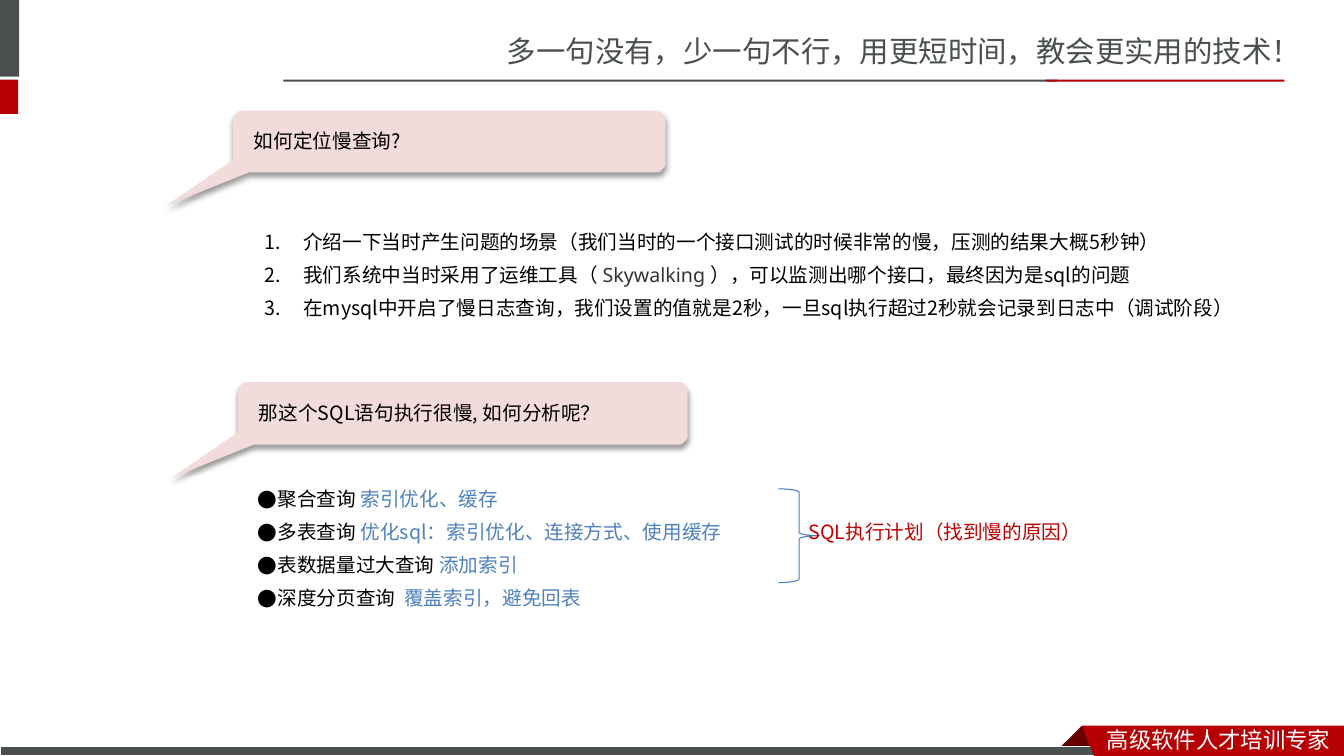
import math
from dataclasses import dataclass

from lxml import etree
from pptx import Presentation
from pptx import util as u
from pptx.dml.color import RGBColor
from pptx.enum import shapes, text
from pptx.oxml import ns

PX = 9144  # EMU in one px, 100 px to the inch


@dataclass(frozen=True)
class Theme:
    grey: str = "49504F"
    red: str = "B60004"
    dark_red: str = "680000"
    label_red: str = "C00000"
    pink: str = "F2DCDB"
    blue: str = "4F81BD"
    brace: str = "4B7EBC"
    black: str = "000000"
    tool: str = "333333"
    white: str = "FFFFFF"
    title_size: float = 21
    footer_size: float = 16
    body_size: float = 14
    line_spacing: float = 1.23
    space_before: float = 2.8
    heading_font: str = "Noto Sans CJK SC"
    body_font: str = "Noto Sans CJK JP"
    latin_font: str = "Noto Sans"


THEME = Theme()


def add_xml(parent, tag, **attributes):
    element = etree.SubElement(parent, ns.qn(tag))
    for name, value in attributes.items():
        element.set(name, str(value))
    return element


class SlideBuilder:
    def __init__(self, slide, theme):
        self.slide = slide
        self.theme = theme

    def paint(self, shape, fill=None, line=None):
        shape.shadow.inherit = False
        if fill:
            shape.fill.solid()
            shape.fill.fore_color.rgb = RGBColor.from_string(fill)
        else:
            shape.fill.background()
        if line:
            shape.line.color.rgb = RGBColor.from_string(line)
            shape.line.width = u.Pt(0.75)
        else:
            shape.line.fill.background()
        return shape

    def preset(self, kind, box, fill=None, line=None):
        shape = self.slide.shapes.add_shape(kind, *(v * PX for v in box))
        return self.paint(shape, fill, line)

    def polygon(self, points, fill):
        builder = self.slide.shapes.build_freeform(*points[0], scale=PX)
        builder.add_line_segments(points[1:], close=True)
        return self.paint(builder.convert_to_shape(), fill)

    def callout(self, left, top, width, height, wording):
        """Rounded speech bubble whose tail points down and to the left."""
        radius, right, bottom = 10, left + width, top + height

        def corner(x, y, start):
            angles = [math.radians(start + step * 15) for step in range(7)]
            return [(x + radius * math.cos(a), y + radius * math.sin(a)) for a in angles]

        points = [
            *corner(left + radius, top + radius, 180),
            *corner(right - radius, top + radius, 270),
            *corner(right - radius, bottom - radius, 0),
            (left + 16, bottom), (left - 66, bottom + 33), (left, bottom - 12),
        ]
        shape = self.polygon(points, self.theme.pink)
        effects = shape._element.spPr.find(ns.qn("a:effectLst"))
        shadow = add_xml(effects, "a:outerShdw", blurRad=u.Pt(4), dist=u.Pt(3),
                         dir=90 * 60000, algn="t", rotWithShape=0)
        color = add_xml(shadow, "a:srgbClr", val=self.theme.black)
        add_xml(color, "a:alpha", val=40000)
        self.body((left + 11, top + 5, width + 60, 47), [[(wording, self.theme.black)]])

    def text_box(self, box):
        frame = self.slide.shapes.add_textbox(*(v * PX for v in box)).text_frame
        frame.word_wrap = True
        return frame

    def run(self, paragraph, wording, color, size, font):
        run = paragraph.add_run()
        run.text = wording
        run.font.size = u.Pt(size)
        run.font.name = font
        run.font.color.rgb = RGBColor.from_string(color)
        add_xml(run._r.get_or_add_rPr(), "a:ea", typeface=font)

    def heading(self, box, wording, color, size):
        paragraph = self.text_box(box).paragraphs[0]
        self.run(paragraph, wording, color, size, self.theme.heading_font)

    def body(self, box, paragraphs, indent=0, bullet=None):
        """Each paragraph is a list of (wording, color) or (wording, color, font)."""
        frame = self.text_box(box)
        frame.margin_top = 8 * PX
        frame.vertical_anchor = text.MSO_ANCHOR.TOP
        for index, runs in enumerate(paragraphs):
            paragraph = frame.add_paragraph() if index else frame.paragraphs[0]
            paragraph.line_spacing = self.theme.line_spacing
            if index:
                paragraph.space_before = u.Pt(self.theme.space_before)
            if bullet:
                properties = paragraph._p.get_or_add_pPr()
                properties.set("marL", str(indent * PX))
                properties.set("indent", str(-indent * PX))
                add_xml(properties, "a:buFont", typeface=self.theme.body_font)
                if bullet == "number":
                    add_xml(properties, "a:buAutoNum", type="arabicPeriod")
                else:
                    add_xml(properties, "a:buChar", char=bullet)
            for wording, color, *font in runs:
                self.run(paragraph, wording, color, self.theme.body_size,
                         font[0] if font else self.theme.body_font)


def draw_frame(builder):
    theme, rectangle = builder.theme, shapes.MSO_SHAPE.RECTANGLE
    builder.heading((493, 28, 840, 47), "多一句没有，少一句不行，用更短时间，教会更实用的技术！",
                    theme.grey, theme.title_size)
    for box, color in [
        ((0, 0, 19, 76), theme.grey),
        ((0, 79, 18, 34), theme.red),
        ((281, 79, 768, 2), theme.grey),
        ((1037, 79, 237, 2), theme.red),
    ]:
        builder.preset(rectangle, box, color)
    builder.polygon([(1073, 720), (1095, 742), (1094, 743), (1052, 743), (1051, 742)],
                    theme.dark_red)
    builder.preset(rectangle, (0, 741, 1099, 9), theme.grey, theme.white)
    builder.polygon([(1073, 720), (1333, 720), (1333, 750), (1085, 750)], theme.red)
    builder.heading((1088, 715, 245, 35), "高级软件人才培训专家",
                    theme.white, theme.footer_size)


def draw_answers(builder):
    theme = builder.theme
    black, blue = theme.black, theme.blue
    builder.callout(231, 110, 429, 61, "如何定位慢查询?")
    builder.body((253, 215, 1010, 139), [
        [("介绍一下当时产生问题的场景（我们当时的一个接口测试的时候非常的慢，压测的结果大概5秒钟）", black)],
        [("我们系统中当时采用了运维工具（ ", black),
         ("Skywalking ", theme.tool, theme.latin_font),
         ("），可以监测出哪个接口，最终因为是sql的问题", black)],
        [("在mysql中开启了慢日志查询，我们设置的值就是2秒，一旦sql执行超过2秒就会记录到日志中（调试阶段）", black)],
    ], indent=38, bullet="number")
    builder.callout(236, 379, 446, 62, "那这个SQL语句执行很慢, 如何分析呢？")
    remedies = [
        ("聚合查询 ", "索引优化、缓存"),
        ("多表查询 ", "优化sql：索引优化、连接方式、使用缓存"),
        ("表数据量过大查询 ", "添加索引"),
        ("深度分页查询  ", "覆盖索引，避免回表"),
    ]
    builder.body((246, 470, 996, 171),
                 [[(query, black), (remedy, blue)] for query, remedy in remedies],
                 indent=19, bullet="●")
    builder.preset(shapes.MSO_SHAPE.RIGHT_BRACE, (772, 485, 41, 93), line=theme.brace)
    builder.body((792, 502, 401, 47), [[("SQL执行计划（找到慢的原因）", theme.label_red)]])


def main():
    presentation = Presentation()
    presentation.slide_width, presentation.slide_height = 1333 * PX, 750 * PX
    slide = presentation.slides.add_slide(presentation.slide_layouts[6])
    builder = SlideBuilder(slide, THEME)
    draw_frame(builder)
    draw_answers(builder)
    presentation.save("out.pptx")


if __name__ == "__main__":
    main()
